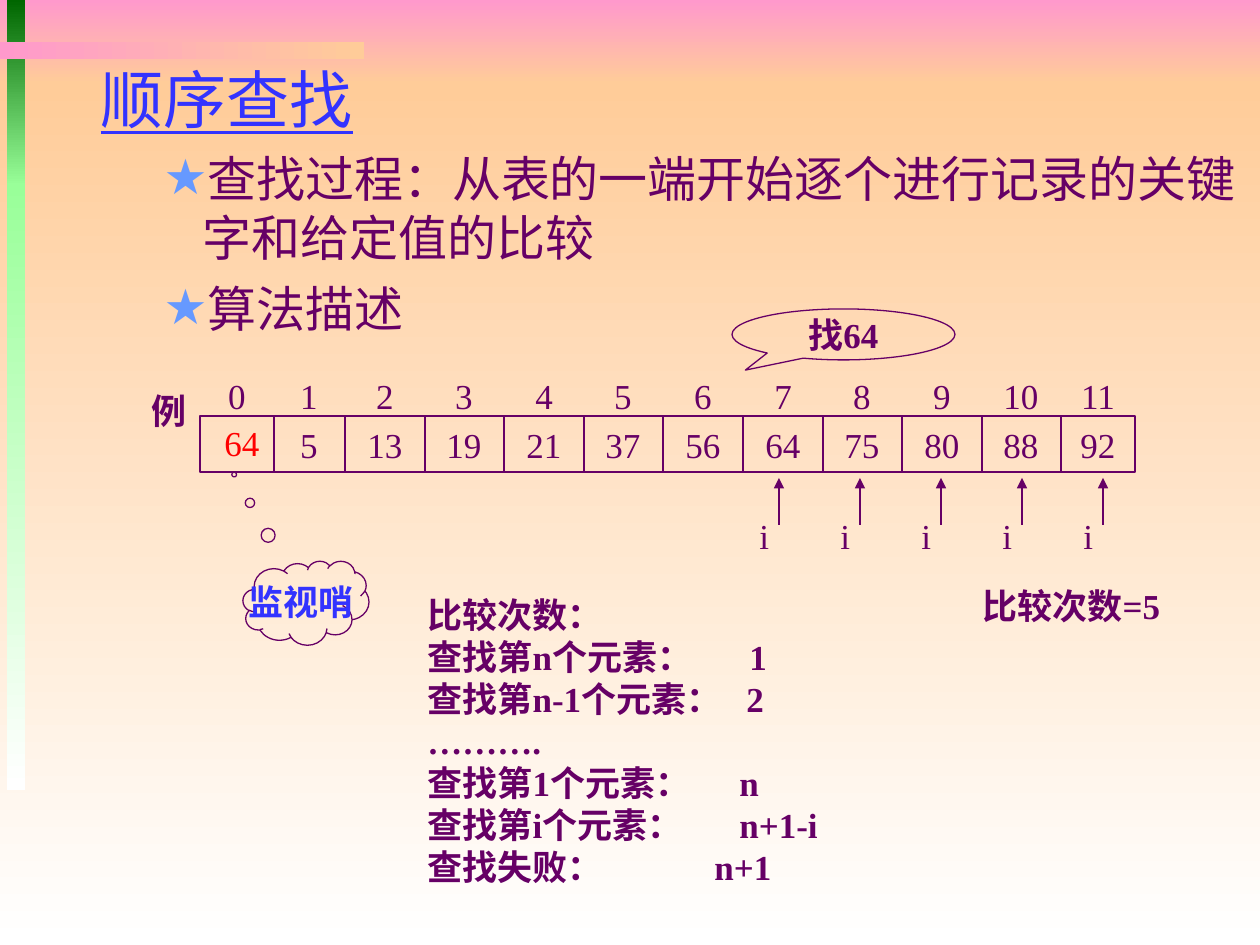
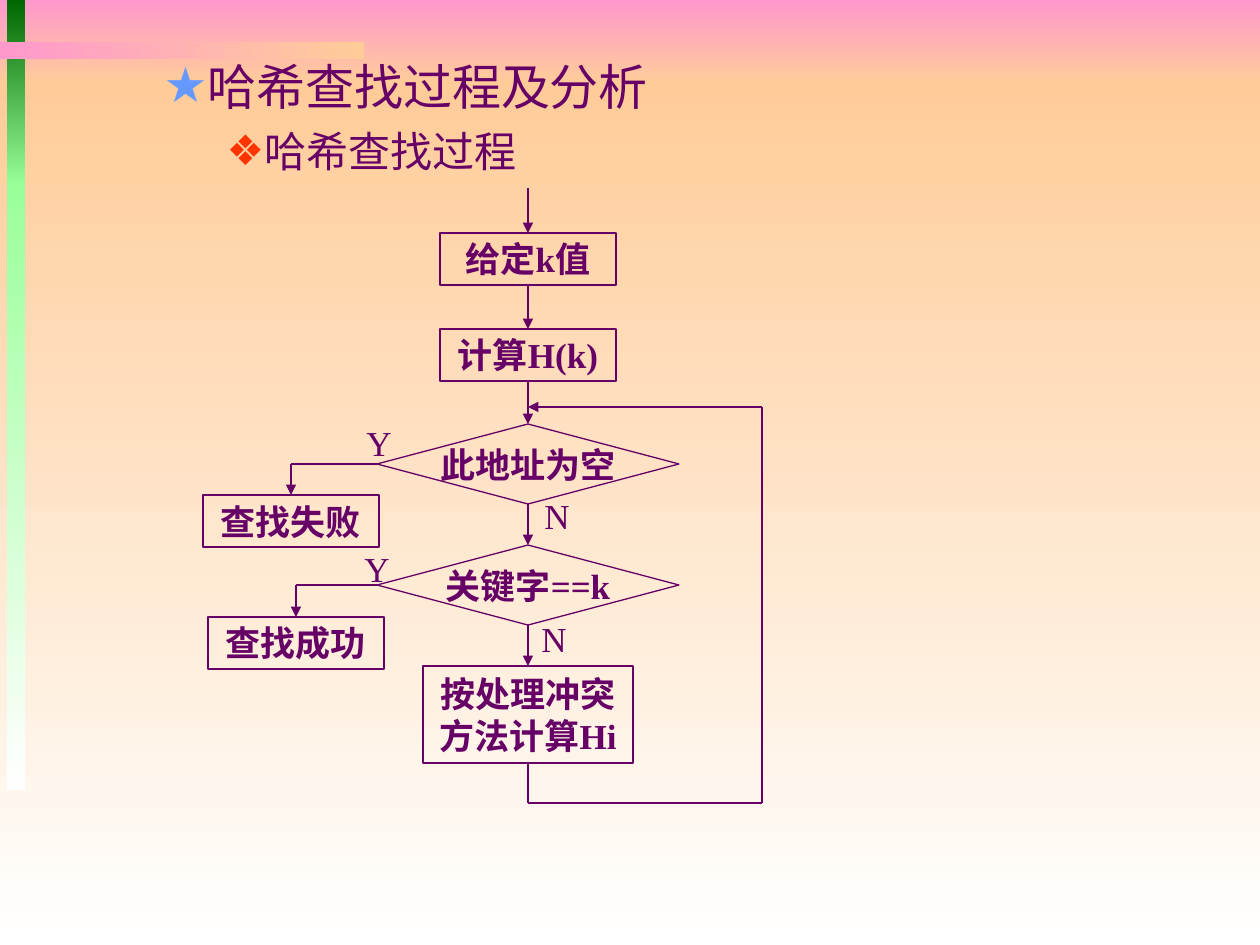
import dataclasses

import lxml.etree
import pptx
import pptx.dml.color
import pptx.enum.shapes
import pptx.enum.text
import pptx.oxml.ns
import pptx.util

PX_PER_INCH = 126
SHAPE = pptx.enum.shapes.MSO_SHAPE
ALIGN = pptx.enum.text.PP_ALIGN
ANCHOR = pptx.enum.text.MSO_ANCHOR
TOP, LEFT, BOTTOM, RIGHT = range(4)


@dataclasses.dataclass(frozen=True)
class Theme:
    ink: str = "660066"
    blue: str = "3333FF"
    red: str = "FF0000"
    star: str = "6699FF"
    diamond: str = "FF3300"
    pink: str = "FF99CC"
    peach: str = "FFCC99"
    dark_green: str = "006600"
    light_green: str = "99FF99"
    white: str = "FFFFFF"
    heading_font: str = "Arial"
    label_font: str = "Times New Roman"
    title_size: int = 36
    item_size: int = 28
    subitem_size: int = 24
    label_size: int = 20
    line_width: float = 0.75


THEME = Theme()

LIST_STYLES = {
    "title": dict(level=0, size=THEME.title_size, color=THEME.blue, before=9,
                  underline=True, margin=48, hang=48, bullet=None),
    "item": dict(level=1, size=THEME.item_size, color=THEME.ink, before=7,
                 underline=False, margin=102, hang=39, bullet=("★", THEME.star)),
    "subitem": dict(level=2, size=THEME.subitem_size, color=THEME.ink, before=6,
                    underline=False, margin=158, hang=32, bullet=("❖", THEME.diamond)),
}


def px(length):
    return pptx.util.Emu(round(length * 914400 / PX_PER_INCH))


def rgb(code):
    return pptx.dml.color.RGBColor.from_string(code)


def apply(target, formats):
    for name, value in formats.items():
        setattr(target, name, value)


def add_xml(parent, tag, **attributes):
    return lxml.etree.SubElement(parent, pptx.oxml.ns.qn(tag), attributes)


def add_span(para, text, color, size, **formats):
    span = para.add_run()
    span.text = text
    apply(span.font, dict(size=pptx.util.Pt(size), **formats))
    span.font.color.rgb = rgb(color)


def set_tabs(para, stops, align):
    tab_list = add_xml(para._p.get_or_add_pPr(), "a:tabLst")
    for stop in stops:
        add_xml(tab_list, "a:tab", pos=str(px(stop)), algn=align)


def fill_labels(box, lines, color=THEME.ink, bold=False, align=ALIGN.LEFT):
    frame = box.text_frame
    for number, line in enumerate(lines):
        para = frame.add_paragraph() if number else frame.paragraphs[0]
        para.alignment = align
        add_span(para, line, color, THEME.label_size, bold=bold, name=THEME.label_font)
    return frame.paragraphs


def add_label(page, area, *lines, wrap=False, **formats):
    box = page.shapes.add_textbox(*map(px, area))
    box.text_frame.word_wrap = wrap
    return box, fill_labels(box, lines, **formats)


def add_outline(page, preset, area, *lines, **formats):
    box = page.shapes.add_shape(preset, *map(px, area))
    box.shadow.inherit = False
    box.fill.background()
    apply(box.line, dict(width=pptx.util.Pt(THEME.line_width)))
    box.line.color.rgb = rgb(THEME.ink)
    apply(box.text_frame, dict(word_wrap=False, vertical_anchor=ANCHOR.MIDDLE))
    fill_labels(box, lines, **{"bold": True, "align": ALIGN.CENTER, **formats})
    return box


def add_line(page, begin, end, arrow=False, begin_at=None, end_at=None):
    line = page.shapes.add_connector(
        pptx.enum.shapes.MSO_CONNECTOR.STRAIGHT, *map(px, begin + end))
    line.line.width = pptx.util.Pt(THEME.line_width)
    line.line.color.rgb = rgb(THEME.ink)
    if arrow:
        add_xml(line.line._get_or_add_ln(), "a:tailEnd", type="triangle")
    add_xml(line.element.spPr, "a:effectLst")
    if begin_at:
        line.begin_connect(*begin_at)
    if end_at:
        line.end_connect(*end_at)


def add_bands(deck, page):
    bands = [
        ((0, 0, 1260, 84), THEME.pink, THEME.peach, 270),
        ((0, 84, 1260, 861), THEME.peach, THEME.white, 270),
        ((7, 0, 18, 186), THEME.dark_green, THEME.light_green, 270),
        ((7, 184, 18, 606), THEME.light_green, THEME.white, 270),
        ((0, 42, 364, 17), THEME.pink, THEME.peach, 0),
    ]
    for number, (area, first, last, angle) in enumerate(bands):
        band = page.shapes.add_shape(SHAPE.RECTANGLE, *map(px, area))
        band.shadow.inherit = False
        band.line.fill.background()
        band.fill.gradient()
        band.fill.gradient_angle = angle
        for stop, color, position in zip(band.fill.gradient_stops, (first, last), (0, 1)):
            stop.color.rgb = rgb(color)
            stop.position = position
        band.element.nvSpPr.cNvPr.set("id", str(100 + number))
        deck.slide_master.shapes.element.insert(2 + number, band.element)


def add_page(deck):
    page = deck.slides.add_slide(deck.slide_layouts[1])
    title = page.shapes.title.element
    title.getparent().remove(title)
    return page


def fill_list(page, area, entries):
    body = page.placeholders[1]
    apply(body, dict(zip(("left", "top", "width", "height"), map(px, area))))
    frame = body.text_frame
    apply(frame, dict(auto_size=pptx.enum.text.MSO_AUTO_SIZE.NONE, word_wrap=True))
    for number, (kind, text) in enumerate(entries):
        style = LIST_STYLES[kind]
        para = frame.add_paragraph() if number else frame.paragraphs[0]
        apply(para, dict(level=style["level"], space_before=pptx.util.Pt(style["before"])))
        properties = para._p.get_or_add_pPr()
        properties.set("marL", str(px(style["margin"])))
        properties.set("indent", str(-px(style["hang"])))
        if style["bullet"]:
            mark, color = style["bullet"]
            add_xml(add_xml(properties, "a:buClr"), "a:srgbClr", val=color)
            add_xml(properties, "a:buChar", char=mark)
        else:
            add_xml(properties, "a:buNone")
        add_span(para, text, style["color"], style["size"],
                 underline=style["underline"], name=THEME.heading_font)


def add_search_array(page):
    left, top, width, height = 200, 416, 935, 56
    edges = [left, 274, *(round(345 + 79.6 * step) for step in range(10)), left + width]
    centres = [(a + b) // 2 - left for a, b in zip(edges, edges[1:])]
    values = [5, 13, 19, 21, 37, 56, 64, 75, 80, 88, 92]

    def tabbed(entries):
        return "".join(f"\t{entry}" for entry in entries)

    add_label(page, (139, 383, 68, 55), "例", bold=True)
    indexes, index_paras = add_label(
        page, (left, 368, width, 55), tabbed(range(12)), wrap=True)
    cells = add_outline(page, SHAPE.RECTANGLE, (left, top, width, height),
                        tabbed(values), bold=False, align=ALIGN.LEFT)
    cells.text_frame.word_wrap = True
    for box in (indexes, cells):
        apply(box.text_frame, dict(margin_left=0, margin_right=0))
    set_tabs(index_paras[0], centres, "ctr")
    set_tabs(cells.text_frame.paragraphs[0], centres[1:], "ctr")
    for edge in edges[1:-1]:
        add_line(page, (edge, top), (edge, top + height))
    add_label(page, (212, 415, 60, 55), "64", color=THEME.red)


def add_pointers(page):
    for step in range(5):
        x = 779 + 81 * step
        add_line(page, (x, 525), (x, 478), arrow=True)
        add_label(page, (x - 32, 508, 34, 55), "i")


def add_comparison_counts(page):
    counts = [
        ("比较次数：", None, 0),
        ("查找第n个元素：", "1", 322),
        ("查找第n-1个元素：", "2", 319),
        ("……….", None, 0),
        ("查找第1个元素：", "n", 312),
        ("查找第i个元素：", "n+1-i", 312),
        ("查找失败：", "n+1", 287),
    ]
    lines = [f"{case}\t{count}" if count else case for case, count, _ in counts]
    _, paras = add_label(page, (415, 587, 416, 307), *lines, wrap=True, bold=True)
    for para, (_, count, stop) in zip(paras, counts):
        if count:
            set_tabs(para, [stop], "l")


def build_sequential_search(page):
    fill_list(page, (88, 54, 1172, 289), [
        ("title", "顺序查找"),
        ("item", "查找过程：从表的一端开始逐个进行记录的关键字和给定值的比较"),
        ("item", "算法描述"),
    ])
    add_search_array(page)
    add_pointers(page)
    target = add_outline(page, SHAPE.OVAL_CALLOUT, (732, 309, 223, 51), "找64")
    sentinel = add_outline(page, SHAPE.CLOUD_CALLOUT, (243, 561, 126, 84),
                           "监视哨", color=THEME.blue)
    for callout, tip in ((target, (-0.44, 0.7)), (sentinel, (-0.57, -1.53))):
        callout.adjustments[0], callout.adjustments[1] = tip
    add_label(page, (970, 578, 212, 55), "比较次数=5", bold=True)
    add_comparison_counts(page)


def build_hash_search(page):
    fill_list(page, (88, 50, 1172, 132), [
        ("item", "哈希查找过程及分析"),
        ("subitem", "哈希查找过程"),
    ])
    axis, loop_x, loop_top, loop_bottom = 528, 762, 407, 803
    steps = [
        (SHAPE.FLOWCHART_PROCESS, 233, 176, 52, ["给定k值"]),
        (SHAPE.FLOWCHART_PROCESS, 329, 176, 52, ["计算H(k)"]),
        (SHAPE.FLOWCHART_DECISION, 424, 302, 80, ["此地址为空"]),
        (SHAPE.FLOWCHART_DECISION, 545, 302, 80, ["关键字==k"]),
        (SHAPE.FLOWCHART_PROCESS, 666, 210, 97, ["按处理冲突", "方法计算Hi"]),
    ]
    boxes = [add_outline(page, preset, (axis - width // 2, top, width, height), *lines)
             for preset, top, width, height, lines in steps]
    add_line(page, (axis, 188), (axis, 233), arrow=True, end_at=(boxes[0], TOP))
    for upper, lower in zip(boxes, boxes[1:]):
        add_line(page, (axis, 0), (axis, 0), arrow=True,
                 begin_at=(upper, BOTTOM), end_at=(lower, TOP))

    outcomes = [("查找失败", 203, 495, boxes[2], 464), ("查找成功", 208, 617, boxes[3], 585)]
    for text, left, top, decision, branch_y in outcomes:
        outcome = add_outline(page, SHAPE.FLOWCHART_PROCESS, (left, top, 176, 52), text)
        corner = (left + 88, branch_y)
        add_line(page, (axis, branch_y), corner, begin_at=(decision, LEFT))
        add_line(page, corner, (left + 88, top), arrow=True, end_at=(outcome, TOP))

    loop = [(axis, loop_bottom), (loop_x, loop_bottom), (loop_x, loop_top), (axis, loop_top)]
    add_line(page, (axis, 763), loop[0], begin_at=(boxes[-1], BOTTOM))
    for begin, end in zip(loop, loop[1:]):
        add_line(page, begin, end, arrow=end == loop[-1])

    for text, left, top in [("Y", 354, 415), ("N", 532, 488), ("Y", 352, 541), ("N", 529, 611)]:
        add_label(page, (left, top, 50, 55), text)


def main():
    deck = pptx.Presentation()
    apply(deck, dict(slide_width=px(1260), slide_height=px(945)))
    search_page = add_page(deck)
    add_bands(deck, search_page)
    build_sequential_search(search_page)
    build_hash_search(add_page(deck))
    deck.save("out.pptx")


if __name__ == "__main__":
    main()
